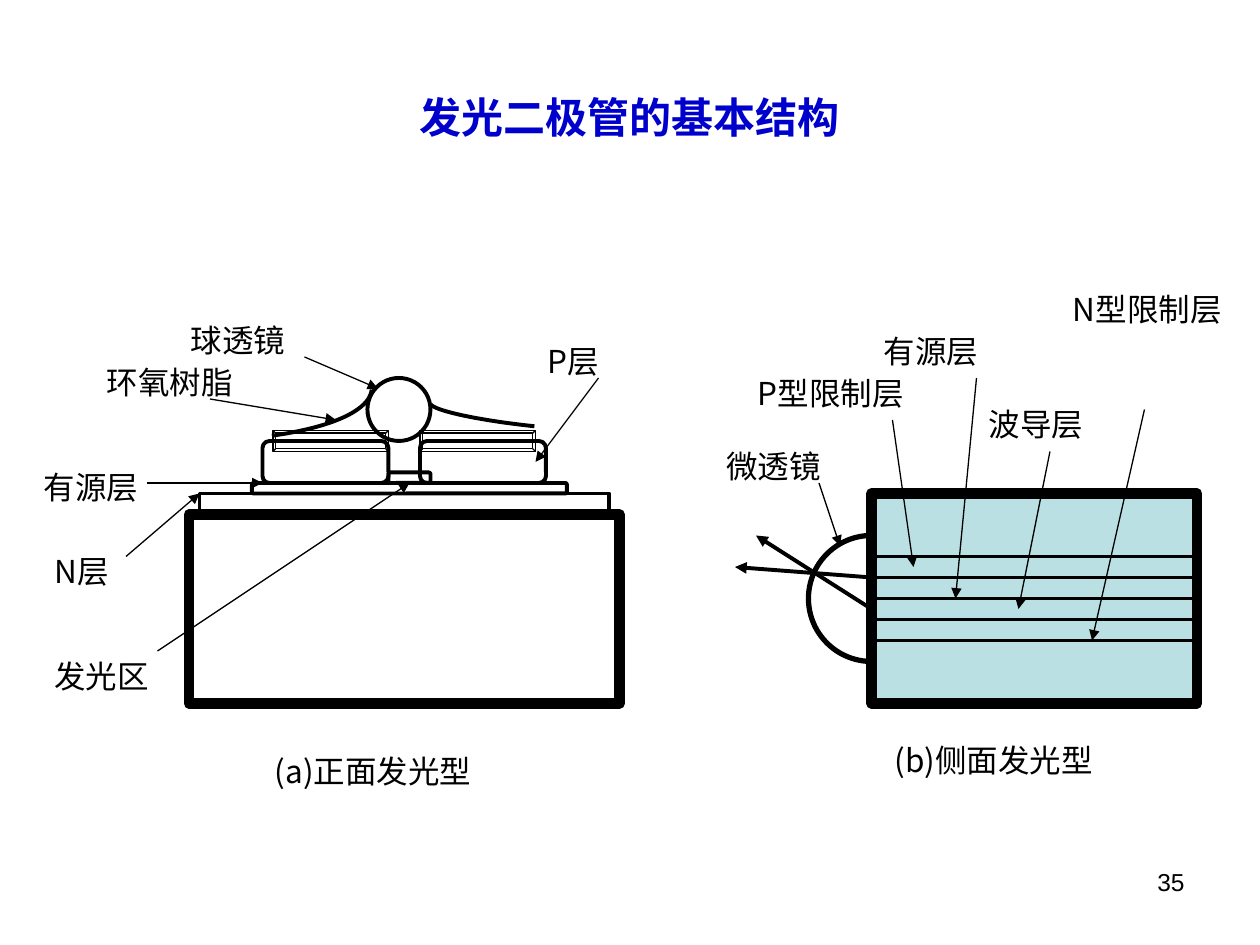
import pptx
import pptx.util
import pptx.dml.color
import pptx.enum.shapes
import pptx.enum.text
import pptx.oxml
import pptx.oxml.ns
from pptx.util import Cm

MSO = pptx.enum.shapes.MSO_SHAPE
ALIGN = pptx.enum.text.PP_ALIGN
ANCHOR = pptx.enum.text.MSO_ANCHOR
AUTO = pptx.enum.text.MSO_AUTO_SIZE
COLORS = {"ink": "000000", "title": "0000CC", "block": "BBE0E3"}
CJK = "Noto Sans CJK SC"
CELL = 2.54 / 12  # the drawing sits on a grid of twelve cells to the inch


def grid(*cells):
    return [Cm(n * CELL) for n in cells]


def rgb(name):
    return pptx.dml.color.RGBColor.from_string(COLORS[name])


def set_line(sp, width):
    sp.line.color.rgb = rgb("ink")
    sp.line.width = pptx.util.Pt(width)


def write(tf, text, size=18, font=CJK, color="ink", bold=False,
          align=ALIGN.JUSTIFY, before=0, anchor=ANCHOR.TOP):
    tf.word_wrap = True
    tf.vertical_anchor = anchor
    p = tf.paragraphs[0]
    p.alignment = align
    p.space_before = pptx.util.Pt(before)
    r = p.add_run()
    r.text = text
    r.font.size = pptx.util.Pt(size)
    r.font.name = font
    r.font.bold = bold
    r.font.color.rgb = rgb(color)
    ea = pptx.oxml.parse_xml(
        f'<a:ea {pptx.oxml.ns.nsdecls("a")} typeface="{CJK}"/>')
    r.font._element.find(pptx.oxml.ns.qn("a:latin")).addnext(ea)


def add_label(slide, text, x, y, w=16.7):
    tf = slide.shapes.add_textbox(*grid(x, y, w, 4.8)).text_frame
    write(tf, text, before=11.2)
    tf.auto_size = AUTO.SHAPE_TO_FIT_TEXT


def add_part(slide, kind, x, y, w, h, width=2.25, fill=None):
    sp = slide.shapes.add_shape(kind, *grid(x, y, w, h))
    sp.shadow.inherit = False
    if fill:
        sp.fill.solid()
        sp.fill.fore_color.rgb = rgb(fill)
    else:
        sp.fill.background()
    set_line(sp, width)


def add_line(slide, x1, y1, x2, y2, width=0.75, arrow=True):
    cxn = slide.shapes.add_connector(
        pptx.enum.shapes.MSO_CONNECTOR.STRAIGHT, *grid(x1, y1, x2, y2))
    set_line(cxn, width)
    ns = pptx.oxml.ns.nsdecls("a")
    sp_pr = cxn._element.spPr
    if arrow:
        ln = sp_pr.find(pptx.oxml.ns.qn("a:ln"))
        ln.append(pptx.oxml.parse_xml(f'<a:tailEnd {ns} type="triangle"/>'))
    sp_pr.append(pptx.oxml.parse_xml(f"<a:effectLst {ns}/>"))


def add_curve(slide, *controls, steps=24):
    """Draw a cubic Bezier curve through its four control points."""
    points = []
    for i in range(steps + 1):
        t = i / steps
        weights = ((1 - t) ** 3, 3 * t * (1 - t) ** 2,
                   3 * t ** 2 * (1 - t), t ** 3)
        points.append(grid(*(sum(k * c[axis] for k, c in zip(weights, controls))
                             for axis in (0, 1))))
    builder = slide.shapes.build_freeform(*points[0])
    builder.add_line_segments(points[1:], close=False)
    sp = builder.convert_to_shape()
    sp.shadow.inherit = False
    sp.fill.background()
    set_line(sp, 2.25)


def draw_surface_emitter(slide):
    # Base, N layer and active layer
    add_part(slide, MSO.RECTANGLE, 18, 49, 41, 18, width=6)
    add_part(slide, MSO.RECTANGLE, 19, 47, 39, 2)
    add_part(slide, MSO.ROUNDED_RECTANGLE, 24, 46, 30, 1)
    # P layer blocks with their contacts
    for x in (25, 40):
        add_part(slide, MSO.ROUNDED_RECTANGLE, x, 42, 12, 4)
    for x in (26, 40):
        add_part(slide, MSO.BEVEL, x, 41, 11, 2, width=0.75)
    # Emitting region, ball lens and epoxy
    add_part(slide, MSO.ROUNDED_RECTANGLE, 37, 45, 4, 1)
    add_part(slide, MSO.OVAL, 35, 36, 6, 6)
    add_curve(slide, (25.9, 41.5), (31.6, 40.7), (35.2, 39.1), (35.4, 37.1))
    add_curve(slide, (50.9, 40.6), (45.2, 40), (40.9, 39), (41, 38.4))
    # Pointers and labels
    for ends in ((29, 34, 36, 37), (20, 38, 32, 40), (57, 36, 51, 44),
                 (14, 46, 25, 46), (12, 53, 19, 47), (15, 62, 39, 46)):
        add_line(slide, *ends)
    for label in (("球透镜", 17, 30), ("环氧树脂", 9, 34), ("P层", 51, 32, 16),
                  ("有源层", 3, 44), ("N层", 4, 52), ("发光区", 4, 62),
                  ("(a)正面发光型", 25, 71, 27)):
        add_label(slide, *label)


def draw_edge_emitter(slide):
    # Microlens, half hidden by the layered block
    add_part(slide, MSO.OVAL, 77, 51, 12, 12, width=3)
    add_part(slide, MSO.RECTANGLE, 83, 47, 31, 20, width=6, fill="block")
    for y in range(53, 62, 2):
        add_line(slide, 83, y, 114, y, width=2.25, arrow=False)
    # Light rays
    for ends in ((83, 58, 72, 51), (83, 55, 70, 54)):
        add_line(slide, *ends, width=2.25)
    # Pointers and labels
    for ends in ((78, 46, 80, 52), (85, 40, 87, 54), (93, 36, 91, 57),
                 (100, 43, 97, 58), (109, 39, 104, 61)):
        add_line(slide, *ends)
    for label in (("微透镜", 68, 42), ("P型限制层", 71, 35, 19.7),
                  ("有源层", 83, 31), ("波导层", 93, 38),
                  ("N型限制层", 101, 27, 19), ("(b)侧面发光型", 84, 70, 27)):
        add_label(slide, *label)


def main():
    prs = pptx.Presentation()
    prs.slide_width, prs.slide_height = Cm(25.4), Cm(19.05)
    slide = prs.slides.add_slide(prs.slide_layouts[5])

    # Title and page number
    title = slide.shapes.title
    title.left, title.top, title.width, title.height = grid(6, 3.6, 108, 15)
    write(title.text_frame, "发光二极管的基本结构", size=24, font="Arial",
          color="title", bold=True, align=ALIGN.CENTER, anchor=ANCHOR.MIDDLE)
    number = slide.shapes.add_textbox(*grid(86, 82, 28, 6.2))
    write(number.text_frame, "35", size=14, font="Arial", align=ALIGN.RIGHT)

    draw_surface_emitter(slide)
    draw_edge_emitter(slide)
    prs.save("out.pptx")


if __name__ == "__main__":
    main()
